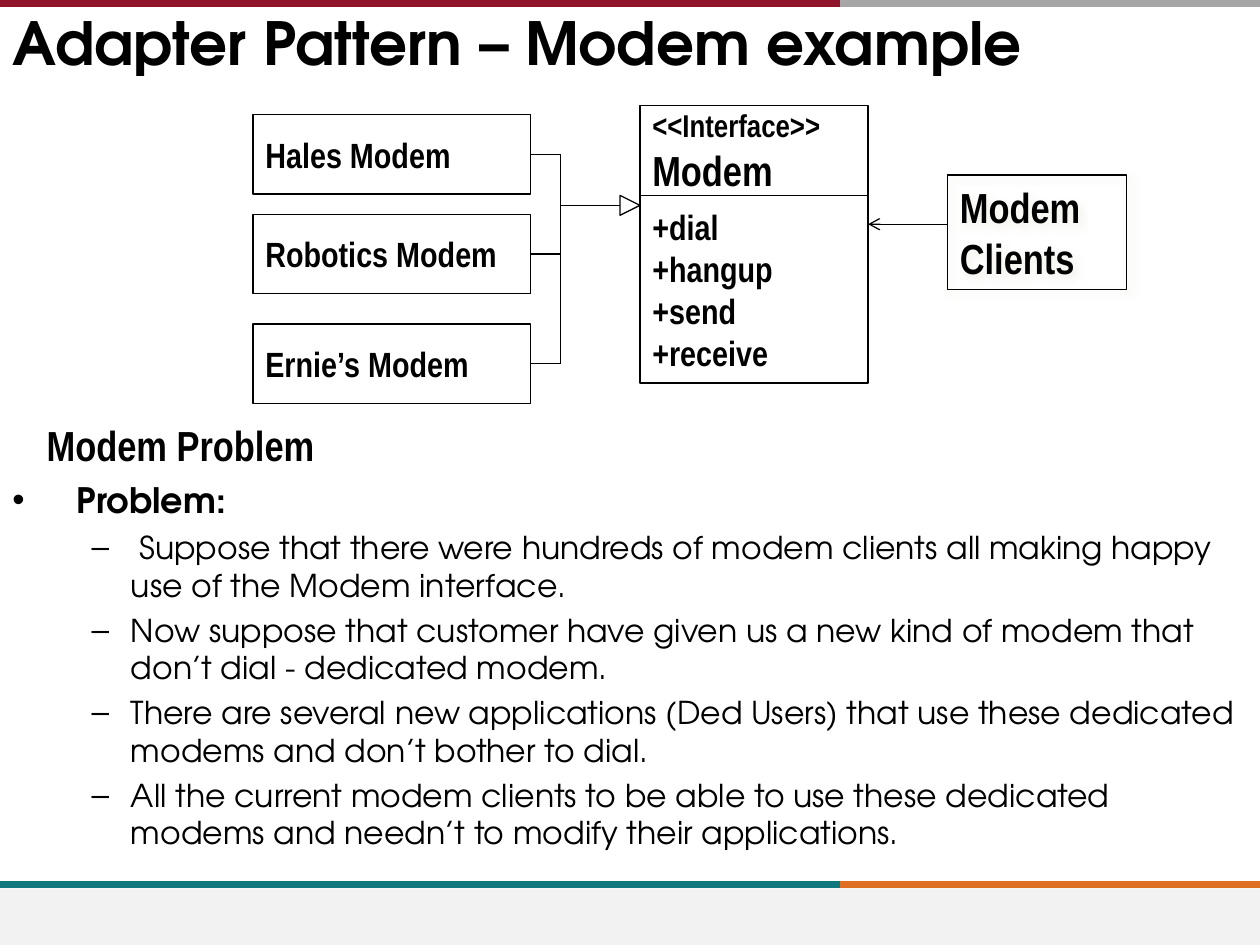
from dataclasses import dataclass

from lxml import etree
from pptx import Presentation
from pptx.dml.color import RGBColor
from pptx.enum.shapes import MSO_CONNECTOR, MSO_SHAPE
from pptx.enum.text import MSO_ANCHOR, PP_ALIGN
from pptx.oxml.ns import qn
from pptx.util import Cm, Pt

STRAIGHT = MSO_CONNECTOR.STRAIGHT
RECTANGLE = MSO_SHAPE.RECTANGLE
TRIANGLE = MSO_SHAPE.ISOSCELES_TRIANGLE
TOP, MIDDLE = MSO_ANCHOR.TOP, MSO_ANCHOR.MIDDLE
LEFT = PP_ALIGN.LEFT
RIGHT_SIDE = 3


@dataclass(frozen=True)
class Theme:
    ink: str = "000000"
    teal: str = "0F787D"
    orange: str = "DF7023"
    crimson: str = "90152A"
    gray: str = "A6A6A6"
    footer: str = "F2F2F2"
    shadow: str = "EEECE1"
    heading_font: str = "TeX Gyre Adventor"
    diagram_font: str = "Arial Narrow"
    title: int = 34
    name: int = 24
    label: int = 20
    detail: int = 18
    outline: float = 0.75


@dataclass(frozen=True)
class Area:
    left: float
    top: float
    width: float
    height: float

    def lengths(self) -> tuple:
        return Cm(self.left), Cm(self.top), Cm(self.width), Cm(self.height)


@dataclass(frozen=True)
class Vendor:
    name: str
    top: float


@dataclass(frozen=True)
class Level:
    bullet: str
    margin: float
    hanging: float


THEME = Theme()
PROBLEM = Level("•", 1.3, 1.3)
POINT = Level("–", 2.39, 0.79)


def write(para, text: str, *, size: int, font: str = THEME.diagram_font,
          bold: bool = True, level: Level | None = None, before: float = 0) -> None:
    """Add text to a paragraph, with an optional bullet level."""
    para.alignment = LEFT
    para.space_before = Pt(before)
    if level:
        properties = para._p.get_or_add_pPr()
        properties.set("marL", str(Cm(level.margin)))
        properties.set("indent", str(-Cm(level.hanging)))
        etree.SubElement(properties, qn("a:buFont"), typeface="Arial")
        etree.SubElement(properties, qn("a:buChar"), char=level.bullet)
    span = para.add_run()
    span.text = text
    span.font.name, span.font.size, span.font.bold = font, Pt(size), bold
    span.font.color.rgb = RGBColor.from_string(THEME.ink)


def add_text_area(page, area: Area):
    frame = page.shapes.add_textbox(*area.lengths()).text_frame
    frame.word_wrap = True
    frame.vertical_anchor = TOP
    return frame


def add_outline(page, kind, area: Area):
    box = page.shapes.add_shape(kind, *area.lengths())
    box.shadow.inherit = False
    box.fill.background()
    box.line.color.rgb = RGBColor.from_string(THEME.ink)
    box.line.width = Pt(THEME.outline)
    return box


def add_class_box(page, area: Area, lines: list[tuple[str, int]]):
    box = add_outline(page, RECTANGLE, area)
    frame = box.text_frame
    frame.word_wrap = True
    frame.vertical_anchor = MIDDLE
    for index, (text, size) in enumerate(lines):
        para = frame.add_paragraph() if index else frame.paragraphs[0]
        write(para, text, size=size)
    return box


def add_line(page, start: tuple[float, float], end: tuple[float, float],
             color: str = THEME.ink, width: float = THEME.outline,
             arrow: bool = False):
    line = page.shapes.add_connector(STRAIGHT, *map(Cm, start + end))
    line.line.color.rgb = RGBColor.from_string(color)
    line.line.width = Pt(width)
    if arrow:
        etree.SubElement(line.line._get_or_add_ln(), qn("a:tailEnd"), type="arrow")
    etree.SubElement(line._element.spPr, qn("a:effectLst"))
    return line


def add_soft_shadow(box) -> None:
    effects = box._element.spPr.find(qn("a:effectLst"))
    shadow = etree.SubElement(effects, qn("a:outerShdw"), blurRad=str(Pt(5)),
                              dist=str(Pt(3)), dir="2700000")
    tint = etree.SubElement(shadow, qn("a:srgbClr"), val=THEME.shadow)
    etree.SubElement(tint, qn("a:alpha"), val="75000")


def draw_frame(page) -> None:
    split, right = 16.93, 25.4
    footer = add_outline(page, RECTANGLE, Area(0, 17.91, right, 1.14))
    footer.fill.solid()
    footer.fill.fore_color.rgb = RGBColor.from_string(THEME.footer)
    footer.line.fill.background()
    for y, first, second in ((0.08, THEME.crimson, THEME.gray),
                             (17.83, THEME.teal, THEME.orange)):
        add_line(page, (split, y), (right, y), second, 4)
        add_line(page, (0, y), (split, y), first, 4)


def draw_diagram(page) -> None:
    # Interface and its operations
    add_class_box(page, Area(12.9, 2.13, 4.6, 1.81),
                  [("<<Interface>>", THEME.detail), ("Modem", THEME.name)])
    operations = ("+dial", "+hangup", "+send", "+receive")
    add_class_box(page, Area(12.9, 3.94, 4.6, 3.78),
                  [(operation, THEME.label) for operation in operations])

    # Inheritance arrow
    trunk, arrow_y = 11.3, 4.14
    head = add_outline(page, TRIANGLE, Area(12.5, 3.94, 0.4, 0.4))
    head.rotation = 90
    add_line(page, (12.5, arrow_y), (trunk, arrow_y), width=1)

    # Implementing modems, joined to the trunk
    vendors = (Vendor("Hales Modem", 2.31), Vendor("Robotics Modem", 4.32),
               Vendor("Ernie’s Modem", 6.53))
    left, width, height = 5.1, 5.6, 1.6
    for vendor in vendors:
        box = add_class_box(page, Area(left, vendor.top, width, height),
                            [(vendor.name, THEME.label)])
        middle = vendor.top + height / 2
        branch = add_line(page, (left + width, middle), (trunk, middle))
        branch.begin_connect(box, RIGHT_SIDE)
    add_line(page, (trunk, vendors[0].top + height / 2),
             (trunk, vendors[-1].top + height / 2))

    # Clients
    clients = add_class_box(page, Area(19.1, 3.53, 3.61, 2.31),
                            [("Modem Clients", THEME.name)])
    add_soft_shadow(clients)
    add_line(page, (19.1, 4.52), (17.5, 4.52), arrow=True)


def draw_text(page) -> None:
    title = add_text_area(page, Area(0, 0, 25.22, 1.98))
    write(title.paragraphs[0], "Adapter Pattern – Modem example",
          size=THEME.title, font=THEME.heading_font)
    heading = add_text_area(page, Area(0.69, 8.33, 24.6, 1.27))
    write(heading.paragraphs[0], "Modem Problem", size=THEME.name)
    body = add_text_area(page, Area(0, 9.53, 25.4, 8.33))
    write(body.paragraphs[0], "Problem:", size=THEME.label,
          font=THEME.heading_font, level=PROBLEM)
    points = (
        " Suppose that there were hundreds of modem clients all making happy "
        "use of the Modem interface.",
        "Now suppose that customer have given us a new kind of modem that "
        "don’t dial - dedicated modem.",
        "There are several new applications (Ded Users) that use these dedicated "
        "modems and don’t bother to dial.",
        "All the current modem clients to be able to use these dedicated "
        "modems and needn’t to modify their applications.",
    )
    for point in points:
        write(body.add_paragraph(), point, size=THEME.detail, bold=False,
              font=THEME.heading_font, level=POINT, before=4)


def main() -> None:
    deck = Presentation()
    deck.slide_width, deck.slide_height = Cm(25.4), Cm(19.05)
    page = deck.slides.add_slide(deck.slide_layouts[6])
    draw_frame(page)
    draw_text(page)
    draw_diagram(page)
    deck.save("out.pptx")


if __name__ == "__main__":
    main()
